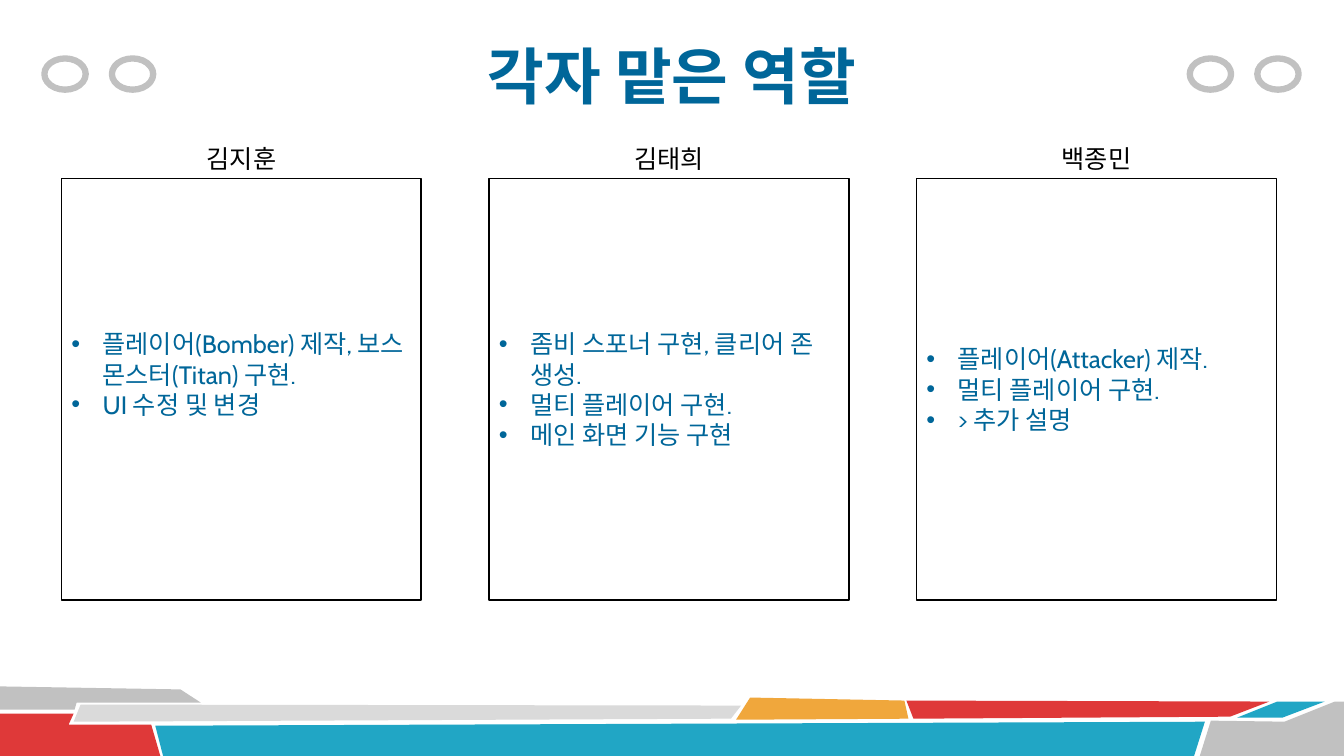
from lxml.etree import SubElement
from pptx import Presentation
from pptx.dml.color import RGBColor
from pptx.enum.shapes import MSO_SHAPE as Shape
from pptx.enum.text import MSO_ANCHOR as Anchor, MSO_AUTO_SIZE as AutoSize, PP_ALIGN as Align
from pptx.oxml.ns import qn
from pptx.util import Pt

PX = 9144  # EMU per px, 100 px to the inch
BLUE, BLACK, GREY, RED, TEAL = "006699", "000000", "C1C1C1", "DF3939", "21A6C5"


def color(hex_string):
    return RGBColor.from_string(hex_string)


def add_run(paragraph, text, size, font_name, hex_string, bold=False):
    run = paragraph.add_run()
    run.text = text
    run.font.size = Pt(size)
    run.font.name = font_name
    run.font.bold = bold
    run.font.color.rgb = color(hex_string)


presentation = Presentation()
presentation.slide_width = 1333 * PX
presentation.slide_height = 750 * PX
slide = presentation.slides.add_slide(presentation.slide_layouts[5])
shapes = slide.shapes

# Coloured bands along the bottom
bands = [
    (GREY, [(0, 681), (179, 684), (199, 697), (76, 697), (74, 704), (0, 704)]),
    (RED, [(0, 708), (73, 708), (68, 719), (150, 719), (159, 750), (0, 750)]),
    ("DADADA", [(80, 699), (735, 700), (725, 713), (73, 716)]),
    (TEAL, [(154, 720), (1195, 716), (1184, 751), (162, 751)]),
    ("F0A73C", [(744, 692), (897, 695), (901, 713), (730, 714)]),
    (RED, [(899, 695), (1259, 696), (1220, 711), (906, 713)]),
    (TEAL, [(1267, 696), (1314, 696), (1272, 712), (1227, 712)]),
    (GREY, [(1201, 715), (1274, 716), (1324, 696), (1333, 696), (1333, 750), (1190, 750)]),
]
for fill, points in bands:
    builder = shapes.build_freeform(*points[0], scale=PX)
    builder.add_line_segments(points[1:], close=True)
    band = builder.convert_to_shape()
    band.shadow.inherit = False
    band.fill.solid()
    band.fill.fore_color.rgb = color(fill)
    band.line.fill.background()

# Rings on both sides of the title
for left in (44, 111, 1180, 1247):
    ring = shapes.add_shape(Shape.OVAL, left * PX, 58 * PX, 41 * PX, 31 * PX)
    ring.shadow.inherit = False
    ring.fill.background()
    ring.line.color.rgb = color(GREY)
    ring.line.width = Pt(4.5)

# Title
title = shapes.title
title.left, title.top, title.width, title.height = 156 * PX, 12 * PX, 1021 * PX, 125 * PX
title.text_frame.auto_size = AutoSize.NONE
title.text_frame.vertical_anchor = Anchor.MIDDLE
paragraph = title.text_frame.paragraphs[0]
paragraph.alignment = Align.CENTER
add_run(paragraph, "각자 맡은 역할", 44, "Calibri", BLUE, bold=True)

# One column per member: name, tasks, bottom inset of the box
members = [
    ("김지훈", ["플레이어(Bomber) 제작, 보스 몬스터(Titan) 구현.", "UI 수정 및 변경"], 35),
    ("김태희", ["좀비 스포너 구현, 클리어 존 생성.", "멀티 플레이어 구현.", "메인 화면 기능 구현"], 5),
    ("백종민", ["플레이어(Attacker) 제작.", "멀티 플레이어 구현.", "> 추가 설명"], 5),
]
for column, (name, tasks, bottom_inset) in enumerate(members):
    left = (61 + 424 * column) * PX

    box = shapes.add_shape(Shape.RECTANGLE, left, 177 * PX, 357 * PX, 418 * PX)
    box.shadow.inherit = False
    box.fill.background()
    box.line.color.rgb = color(BLACK)
    box.line.width = Pt(1.25)
    frame = box.text_frame
    frame.word_wrap = True
    frame.vertical_anchor = Anchor.MIDDLE
    frame.margin_bottom = bottom_inset * PX
    for index, task in enumerate(tasks):
        paragraph = frame.add_paragraph() if index else frame.paragraphs[0]
        paragraph.alignment = Align.LEFT
        properties = paragraph._p.get_or_add_pPr()
        properties.set("marL", str(31 * PX))
        properties.set("indent", str(-31 * PX))
        SubElement(properties, qn("a:buFont"), typeface="Arial")
        SubElement(properties, qn("a:buChar"), char="•")
        add_run(paragraph, task, 18, "Cabin", BLUE)

    label = shapes.add_textbox(left, 137 * PX, 357 * PX, 40 * PX)
    label.text_frame.word_wrap = True
    label.text_frame.auto_size = AutoSize.SHAPE_TO_FIT_TEXT
    paragraph = label.text_frame.paragraphs[0]
    paragraph.alignment = Align.CENTER
    add_run(paragraph, name, 18, "Cabin", BLACK)

presentation.save("out.pptx")
